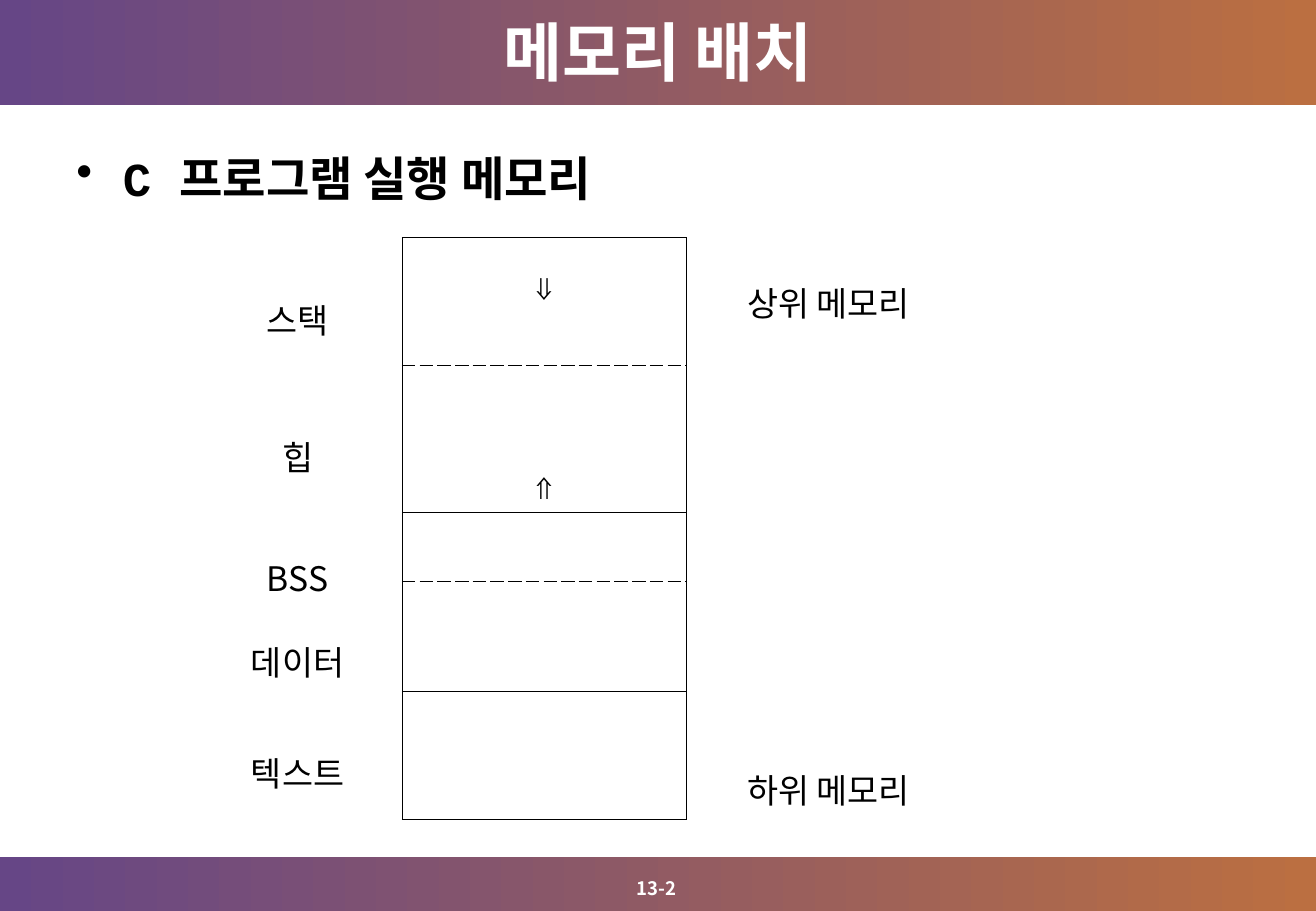
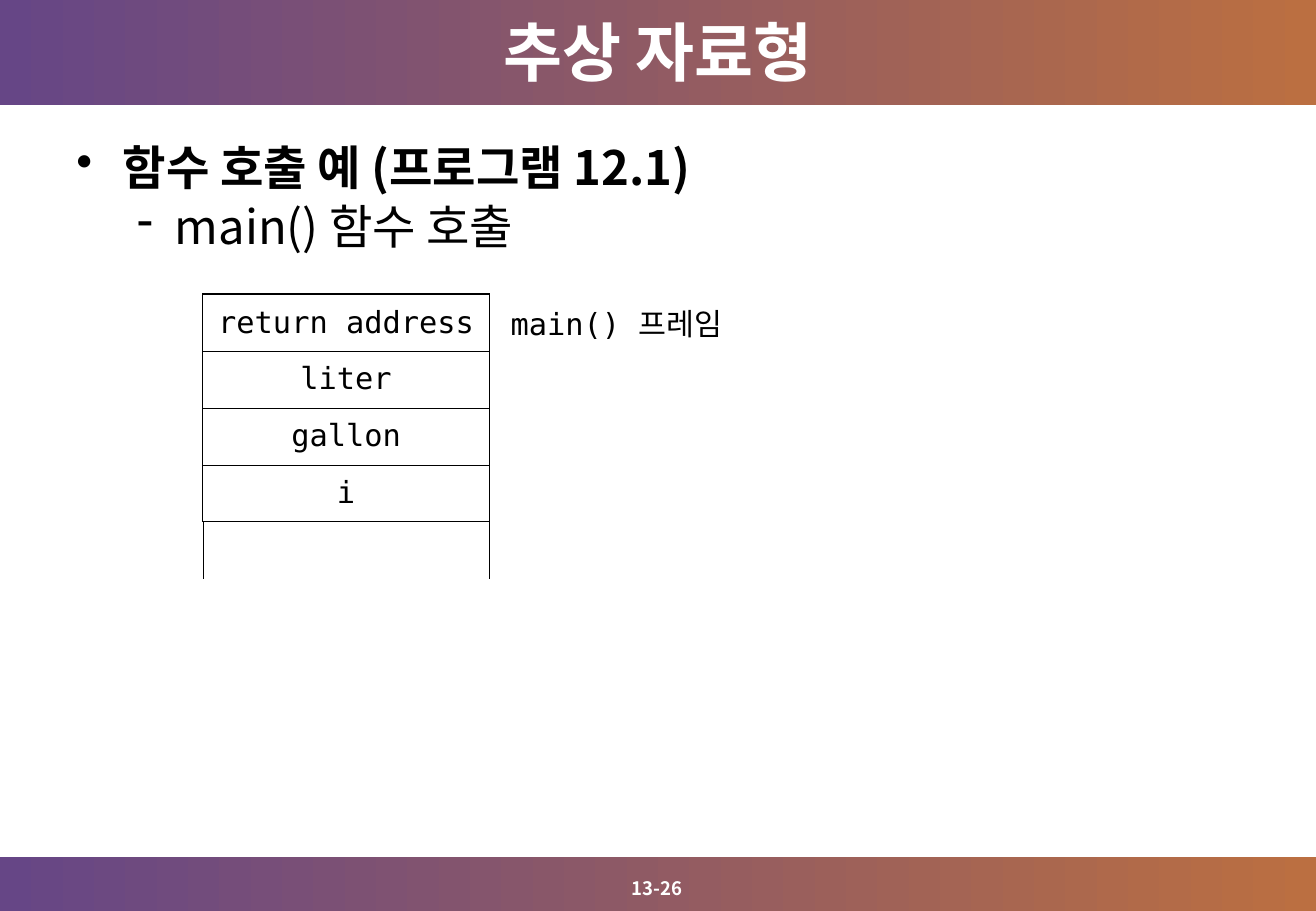
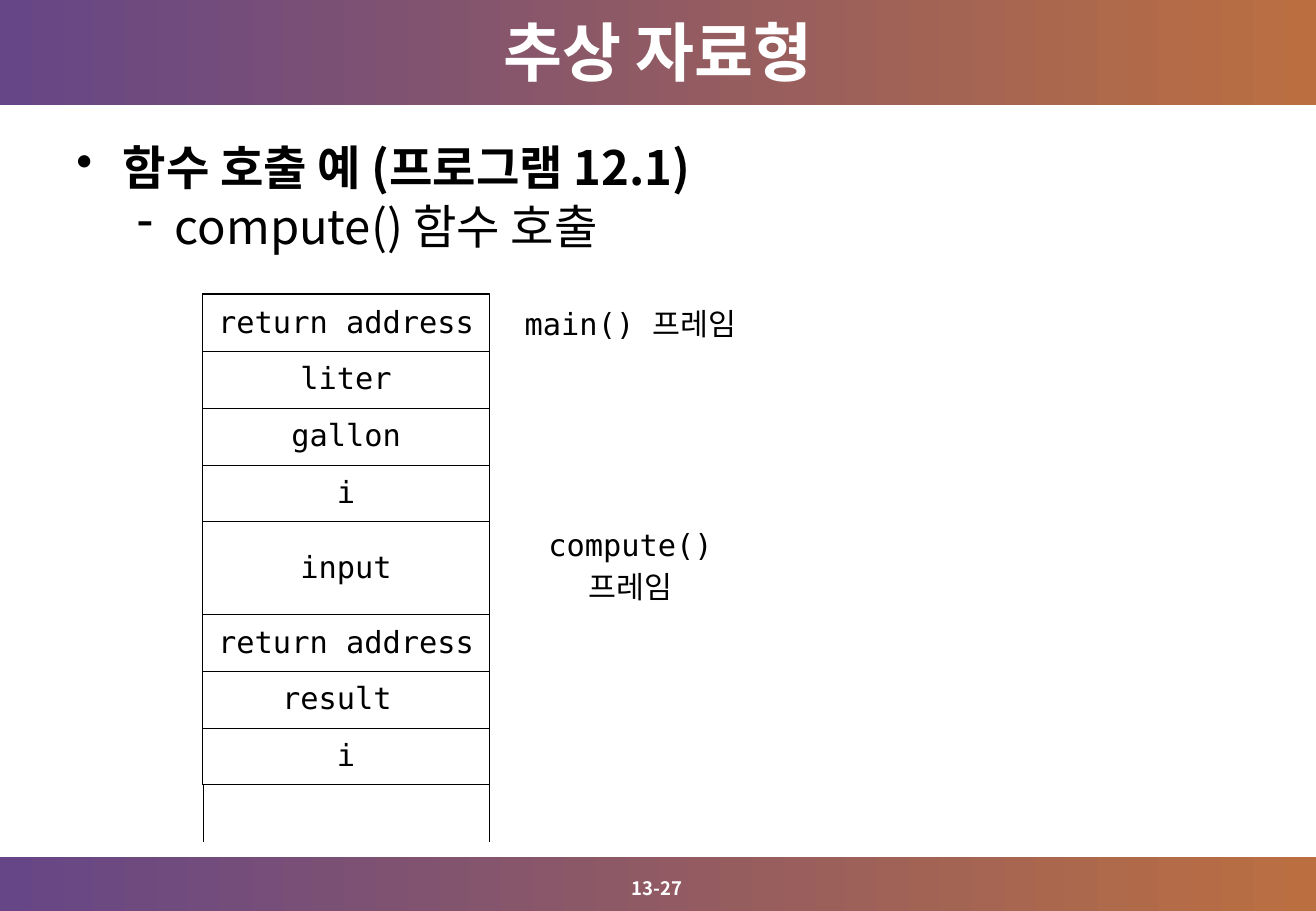
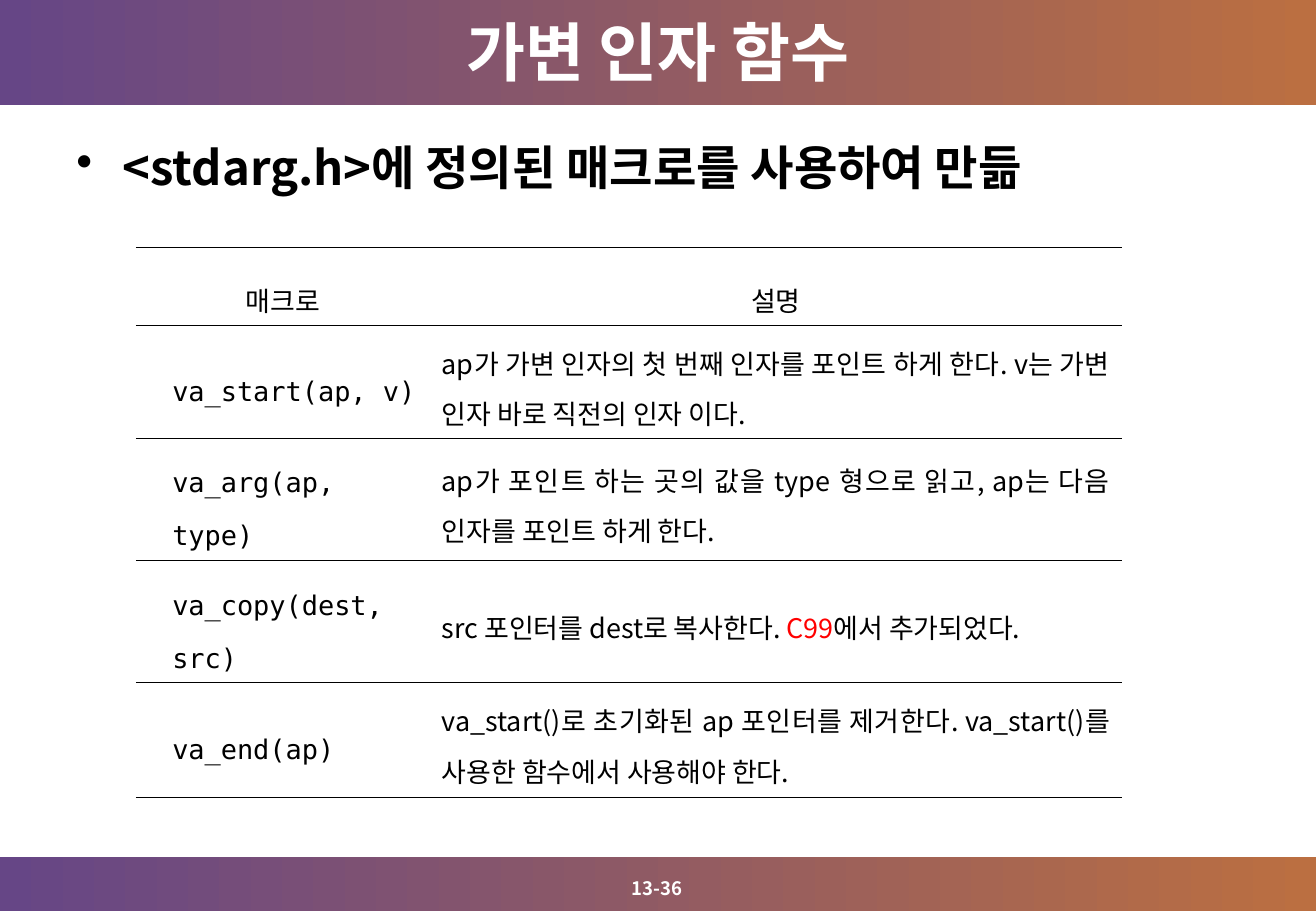
from lxml import etree
from pptx import Presentation
from pptx.dml.color import RGBColor
from pptx.enum import shapes, text
from pptx.oxml import ns
from pptx.util import Cm, Pt

PURPLE = RGBColor(0x66, 0x46, 0x86)
ORANGE = RGBColor(0xBB, 0x6F, 0x41)
WHITE = RGBColor(0xFF, 0xFF, 0xFF)
BLACK = RGBColor(0x00, 0x00, 0x00)
RED = RGBColor(0xFF, 0x00, 0x00)

SANS = "Noto Sans CJK KR"
MONO = "DejaVu Sans Mono"
ARIAL = "Arial"
COURIER = "Courier New"

WIDTH, HEIGHT = Cm(27.53), Cm(19.05)
TITLE_BOX = (0, 0, WIDTH, Cm(2.13))
BODY_BOX = (Cm(1.35), Cm(2.92), Cm(25), Cm(14))
NUMBER_BOX = (Cm(1.14), Cm(17.65), Cm(25.2), Cm(1.27))
BANDS = [(0, 0, WIDTH, Cm(2.2)), (0, Cm(17.93), WIDTH, Cm(1.12))]

NO_STYLE = "{2D5ABB26-0587-4C30-8999-92F81FD0307C}"
THIN, MEDIUM = Pt(0.11), Pt(0.85)
SOLID, DASH = "solid", "dash"

CENTER, JUSTIFY = text.PP_ALIGN.CENTER, text.PP_ALIGN.JUSTIFY
TOP, MIDDLE, BOTTOM = (text.MSO_ANCHOR.TOP, text.MSO_ANCHOR.MIDDLE,
                       text.MSO_ANCHOR.BOTTOM)

BULLETS = [("•", Cm(0.97), Cm(-0.97), True), ("-", Cm(2.06), Cm(-0.79), False)]


def apply(target, formats):
    """Set every attribute named in a dict of format values."""
    for name, value in formats.items():
        setattr(target, name, value)


def child(parent, tag, **attributes):
    """Append a DrawingML element and return it."""
    return etree.SubElement(parent, ns.qn("a:" + tag), attributes)


def add_run(paragraph, words, size, font, color=BLACK, bold=False):
    """Add a run with one font for Latin and Korean letters falling back to sans."""
    run = paragraph.add_run()
    run.text = words
    run.font.color.rgb = color
    apply(run.font, {"size": Pt(size), "bold": bold, "name": font})
    latin = run.font._element.find(ns.qn("a:latin"))
    east_asian = etree.Element(ns.qn("a:ea"), typeface=SANS)
    latin.addnext(east_asian)
    return run


def add_text_shadow(run):
    """Give the letters of a run a small dark shadow."""
    properties = run.font._element
    effects = etree.Element(ns.qn("a:effectLst"))
    shadow = child(effects, "outerShdw", dist="25400", dir="2700000", algn="tl")
    child(shadow, "srgbClr", val=str(BLACK))
    properties.find(ns.qn("a:solidFill")).addnext(effects)


def add_bands(slide, layout):
    """Draw the gradient bands and move them to the shared layout."""
    tree = layout.element.cSld.spTree
    for index, box in enumerate(BANDS):
        band = slide.shapes.add_shape(shapes.MSO_SHAPE.RECTANGLE, *box)
        band.shadow.inherit = False
        band.line.fill.background()
        band.fill.gradient()
        band.fill.gradient_angle = 0
        for stop, color in zip(band.fill.gradient_stops, (PURPLE, ORANGE)):
            stop.color.rgb = color
        band.element.nvSpPr.cNvPr.set("id", str(100 + index))
        tree.insert(2 + index, band.element)


def add_page(presentation, title, number):
    """Add a slide with its title and page number."""
    slide = presentation.slides.add_slide(presentation.slide_layouts[5])
    heading = slide.shapes.title
    apply(heading, dict(zip(("left", "top", "width", "height"), TITLE_BOX)))
    label = slide.shapes.add_textbox(*NUMBER_BOX)
    for shape, words, size, anchor in ((heading, title, 38, MIDDLE),
                                       (label, number, 11, BOTTOM)):
        frame = shape.text_frame
        apply(frame, {"word_wrap": True, "auto_size": text.MSO_AUTO_SIZE.NONE,
                      "vertical_anchor": anchor})
        paragraph = frame.paragraphs[0]
        paragraph.alignment = CENTER
        run = add_run(paragraph, words, size, SANS, WHITE, True)
        if shape is heading:
            add_text_shadow(run)
    return slide


def add_body(slide, lines, font=SANS, spacing=0.88):
    """Add the bulleted lines, one level deeper each."""
    frame = slide.shapes.add_textbox(*BODY_BOX).text_frame
    frame.word_wrap = True
    for level, words in enumerate(lines):
        mark, margin, indent, bold = BULLETS[level]
        paragraph = frame.add_paragraph() if level else frame.paragraphs[0]
        properties = paragraph._p.get_or_add_pPr()
        properties.set("marL", str(margin))
        properties.set("indent", str(indent))
        child(child(properties, "buClr"), "srgbClr", val=str(BLACK))
        child(properties, "buChar", char=mark)
        apply(paragraph, {"level": level, "line_spacing": spacing,
                          "space_before": Pt(5.6 if level else 0)})
        add_run(paragraph, words, 28, font, bold=bold)


def add_grid(slide, left, top, columns, rows):
    """Add a plain table from column widths and row heights in centimetres."""
    frame = slide.shapes.add_table(len(rows), len(columns), Cm(left), Cm(top),
                                   Cm(sum(columns)), Cm(sum(rows)))
    table = frame.table
    apply(table, {"first_row": False, "horz_banding": False})
    table._tbl.tblPr.find(ns.qn("a:tableStyleId")).text = NO_STYLE
    for column, width in zip(table.columns, columns):
        column.width = Cm(width)
    for row, height in zip(table.rows, rows):
        row.height = Cm(height)
    for cell in table.iter_cells():
        cell.fill.background()
    return table


def set_borders(cell, **sides):
    """Draw cell sides L, R, T, B, each given as width and dash."""
    properties = cell._tc.get_or_add_tcPr()
    present = [side for side in "LRTB" if side in sides]
    for index, side in enumerate(present):
        width, dash = sides[side]
        line = etree.Element(ns.qn("a:ln" + side), w=str(width))
        child(child(line, "solidFill"), "srgbClr", val=str(BLACK))
        child(line, "prstDash", val=dash)
        properties.insert(index, line)


def fill_cell(cell, paragraphs, size, font, anchor=MIDDLE, spacing=1.0,
              alignment=CENTER, margin=0):
    """Write paragraphs, each a list of words and colour, into a cell."""
    cell.vertical_anchor = anchor
    frame = cell.text_frame
    for index, runs in enumerate(paragraphs):
        paragraph = frame.add_paragraph() if index else frame.paragraphs[0]
        apply(paragraph, {"alignment": alignment, "line_spacing": spacing})
        if margin:
            paragraph._p.get_or_add_pPr().set("marL", str(margin))
        for words, color in runs:
            add_run(paragraph, words, size, font, color)


def add_memory_map(slide, left, top):
    """Draw the memory areas with their labels on both sides."""
    table = add_grid(slide, left, top, [4.37, 5.95, 5.95],
                     [2.68, 3.07, 1.45, 2.29, 2.68])
    edges = [(THIN, dash) for dash in (SOLID, DASH, SOLID, DASH, SOLID, SOLID)]
    side = (THIN, SOLID)
    for row in range(5):
        set_borders(table.cell(row, 0), R=side)
        set_borders(table.cell(row, 1), L=side, R=side,
                    T=edges[row], B=edges[row + 1])
    table.cell(2, 0).merge(table.cell(3, 0))
    labels = [
        (0, 0, ["스택"], SANS, MIDDLE),
        (1, 0, ["힙"], SANS, MIDDLE),
        (2, 0, ["BSS", "데이터"], SANS, MIDDLE),
        (4, 0, ["텍스트"], SANS, MIDDLE),
        (0, 1, ["⇓"], ARIAL, TOP),
        (1, 1, ["⇑"], ARIAL, BOTTOM),
        (0, 2, ["상위 메모리"], SANS, TOP),
        (4, 2, ["하위 메모리"], SANS, BOTTOM),
    ]
    for row, column, lines, font, anchor in labels:
        fill_cell(table.cell(row, column), [[(words, BLACK)] for words in lines],
                  20, font, anchor, 1.7)


def add_call_stack(slide, left, top, label_width, frames):
    """Draw stack frames, each a label and its slots, above an open slot."""
    slots = [(words, label if index == 0 else "", index == 0,
              index == len(names) - 1)
             for label, names in frames for index, words in enumerate(names)]
    heights = [1.93 if words == "input" else 1.19 for words, *_ in slots]
    table = add_grid(slide, left, top, [6, label_width], heights + [1.2])
    thick, thin = (MEDIUM, SOLID), (THIN, SOLID)
    for row, (words, label, first, last) in enumerate(slots):
        set_borders(table.cell(row, 0), L=thick, R=thick,
                    T=thick if first else thin, B=thick if last else thin)
        fill_cell(table.cell(row, 0), [[(words, BLACK)]], 18, MONO)
        if label:
            fill_cell(table.cell(row, 1), [[(label, BLACK)]], 18, MONO)
    set_borders(table.cell(len(slots), 0), L=thin, R=thin, T=thick)


def add_macro_table(slide, left, top, macros):
    """Draw the ruled table of macros and their descriptions."""
    table = add_grid(slide, left, top, [6.15, 14.48],
                     [1.64, 2.36, 2.47, 2.55, 2.39])
    rule = (THIN, SOLID)
    for cell in table.iter_cells():
        set_borders(cell, T=rule, B=rule)
    for column, (words, font) in enumerate((("매크로", MONO), ("설명", SANS))):
        fill_cell(table.cell(0, column), [[(words, BLACK)]], 16, font, spacing=1.7)
    for row, (macro, description) in enumerate(macros, 1):
        fill_cell(table.cell(row, 0), [[(macro, BLACK)]], 16, MONO, spacing=1.7,
                  alignment=JUSTIFY, margin=Cm(0.51))
        fill_cell(table.cell(row, 1), [description], 16, SANS, spacing=1.3,
                  alignment=JUSTIFY)


def main():
    """Build the four slides and save them."""
    presentation = Presentation()
    apply(presentation, {"slide_width": WIDTH, "slide_height": HEIGHT})

    slide = add_page(presentation, "메모리 배치", "13-2")
    add_bands(slide, slide.slide_layout)
    add_body(slide, ["C 프로그램 실행 메모리"], COURIER, 1.06)
    add_memory_map(slide, 4.04, 4.96)

    main_frame = ("main() 프레임", ["return address", "liter", "gallon", "i"])
    compute_frame = ("compute() 프레임",
                     ["input", "return address", "result ", "i"])
    calls = [("13-26", "main() 함수 호출", 5.31, [main_frame]),
             ("13-27", "compute() 함수 호출", 5.9, [main_frame, compute_frame])]
    for number, call, label_width, frames in calls:
        slide = add_page(presentation, "추상 자료형", number)
        add_body(slide, ["함수 호출 예 (프로그램 12.1)", call])
        add_call_stack(slide, 4.24, 6.15, label_width, frames)

    slide = add_page(presentation, "가변 인자 함수", "13-36")
    add_body(slide, ["<stdarg.h>에 정의된 매크로를 사용하여 만듦"])
    add_macro_table(slide, 2.84, 5.16, [
        ("va_start(ap, v)",
         [("ap가 가변 인자의 첫 번째 인자를 포인트 하게 한다. "
           "v는 가변 인자 바로 직전의 인자 이다.", BLACK)]),
        ("va_arg(ap, type)",
         [("ap가 포인트 하는 곳의 값을 type 형으로 읽고, "
           "ap는 다음 인자를 포인트 하게 한다.", BLACK)]),
        ("va_copy(dest, src)",
         [("src 포인터를 dest로 복사한다. ", BLACK), ("C99", RED),
          ("에서 추가되었다. ", BLACK)]),
        ("va_end(ap)",
         [("va_start()로 초기화된 ap 포인터를 제거한다. "
           "va_start()를 사용한 함수에서 사용해야 한다.", BLACK)]),
    ])
    presentation.save("out.pptx")


if __name__ == "__main__":
    main()
